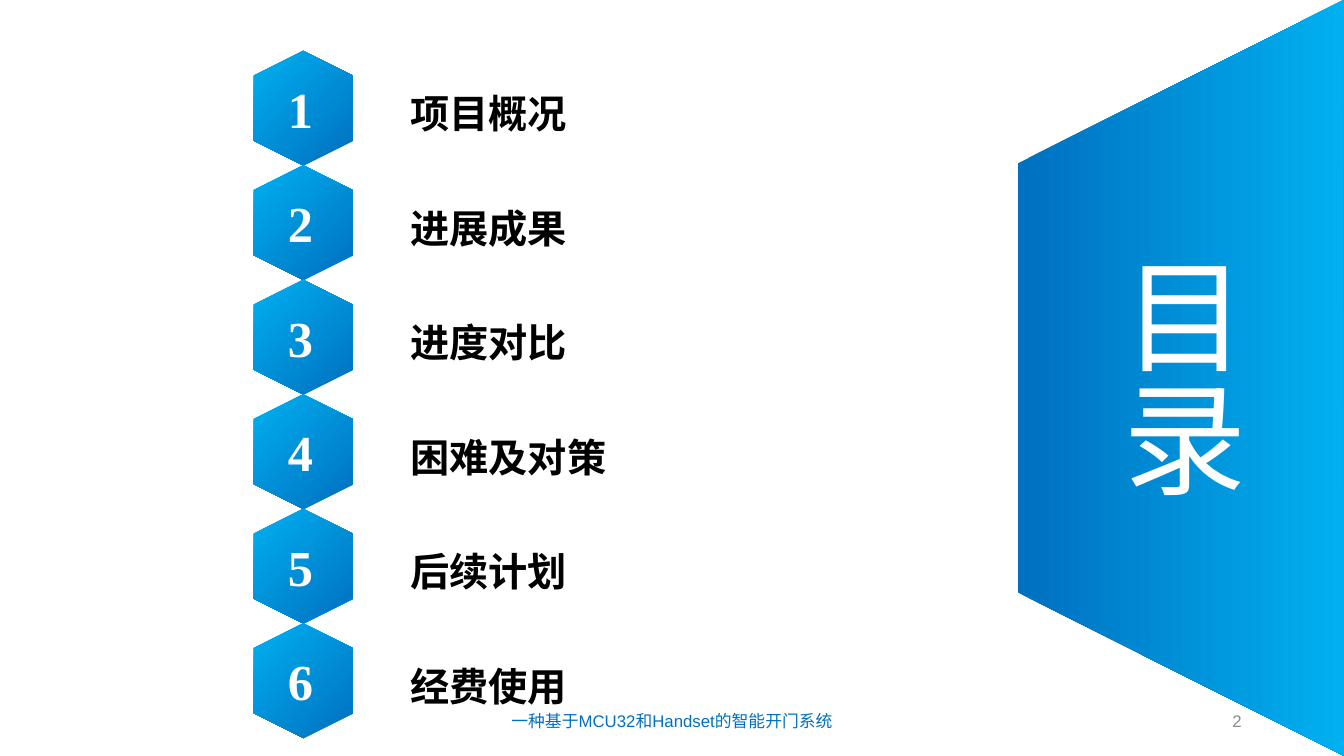
from pptx import Presentation
from pptx.dml.color import RGBColor as RGB
from pptx.enum.shapes import MSO_SHAPE as SHAPE
from pptx.enum.text import MSO_ANCHOR as ANCHOR, MSO_AUTO_SIZE as SIZE, PP_ALIGN as ALIGN
from pptx.util import Pt
from lxml.etree import SubElement as add_sub

SKY = RGB(0x00, 0xB0, 0xF0)
BLUE = RGB(0x00, 0x70, 0xC0)
WHITE = RGB(0xFF, 0xFF, 0xFF)
BLACK = RGB(0x00, 0x00, 0x00)
GRAY = RGB(0x8C, 0x8C, 0x8C)
NS = "{http://schemas.openxmlformats.org/drawingml/2006/main}"
PITCH = 81.8
ITEMS = ["项目概况", "进展成果", "进度对比", "困难及对策", "后续计划", "经费使用"]


def place(shape, box):
    shape.left, shape.top, shape.width, shape.height = map(Pt, box)


def shade(shape, first, last, angle):
    shape.shadow.inherit = False
    shape.line.fill.background()
    shape.fill.gradient()
    shape.fill.gradient_angle = angle
    for stop, color in zip(shape.fill.gradient_stops, (first, last)):
        stop.color.rgb = color


def write(para, text, size, color, bold=False, font="Arial", align=ALIGN.LEFT):
    para.alignment = align
    run = para.add_run()
    run.text = text
    run.font.name = font
    run.font.size = Pt(size)
    run.font.bold = bold
    run.font.color.rgb = color


def label(slide, box, text, size, color, anchor=ANCHOR.MIDDLE, **style):
    frame = slide.shapes.add_textbox(*map(Pt, box)).text_frame
    frame.word_wrap = True
    frame.vertical_anchor = anchor
    write(frame.paragraphs[0], text, size, color, **style)


def add_panel(slide, box):
    left, top, width, height = box
    right, base = left + width, top + height
    inset = height * 0.216
    pen = slide.shapes.build_freeform(Pt(right), Pt(top), scale=1.0)
    spots = [(left, top + inset), (left, base - inset), (right, base),
             (right, base - 121.7), (right - 0.7, top + 157.7)]
    pen.add_line_segments([(Pt(x), Pt(y)) for x, y in spots])
    shade(pen.convert_to_shape(), BLUE, SKY, 0)

    title = slide.shapes.title
    place(title, (left + 55.4, top + 177.8, 121, 185))
    frame = title.text_frame
    frame.word_wrap = False
    frame.auto_size = SIZE.NONE
    frame.vertical_anchor = ANCHOR.TOP
    frame._txBody.bodyPr.set("vert", "eaVert")
    write(frame.paragraphs[0], "目录", 88, WHITE)
    slide.shapes._spTree.append(title._element)


def add_hexes(slide, box):
    left, top, width, height = box
    long, short = 82, 70.8
    for i in range(len(ITEMS)):
        y = top + i * PITCH
        spot = (left + (width - long) / 2, y + (long - short) / 2, long, short)
        hexagon = slide.shapes.add_shape(SHAPE.HEXAGON, *map(Pt, spot))
        hexagon.rotation = 270
        shade(hexagon, SKY, BLUE, 225)
        label(slide, (left, y + 15.7, 67, 51), str(i + 1), 36, WHITE, ANCHOR.TOP,
              bold=True, font="Times New Roman", align=ALIGN.CENTER)


def add_list(slide, box):
    body = slide.placeholders[1]
    place(body, box)
    frame = body.text_frame
    frame.auto_size = SIZE.NONE
    frame.vertical_anchor = ANCHOR.TOP
    frame.margin_top = frame.margin_bottom = 0
    for i, item in enumerate(ITEMS):
        para = frame.add_paragraph() if i else frame.paragraphs[0]
        para.line_spacing = Pt(PITCH)
        para.space_before = para.space_after = Pt(0)
        props = para._p.get_or_add_pPr()
        props.set("marL", "0")
        props.set("indent", "0")
        add_sub(props, NS + "buNone")
        write(para, item, 28, BLACK, bold=True)


def add_foot(slide, box):
    left, top, width, height = box
    label(slide, (left + width - 216, top, 216, height), "2", 12, GRAY, align=ALIGN.RIGHT)
    label(slide, (left, top, 324, height), "一种基于MCU32和Handset的智能开门系统", 12, BLUE,
          align=ALIGN.CENTER)


def main():
    deck = Presentation()
    deck.slide_width, deck.slide_height = Pt(960), Pt(540)
    slide = deck.slides.add_slide(deck.slide_layouts[1])
    add_panel(slide, (727.2, 0, 232.8, 540))
    add_hexes(slide, (181.2, 36.2, 70.8, 491))
    add_list(slide, (286, 15.7, 300, 491))
    add_foot(slide, (318, 500.5, 576, 28.8))
    deck.save("out.pptx")


if __name__ == "__main__":
    main()
